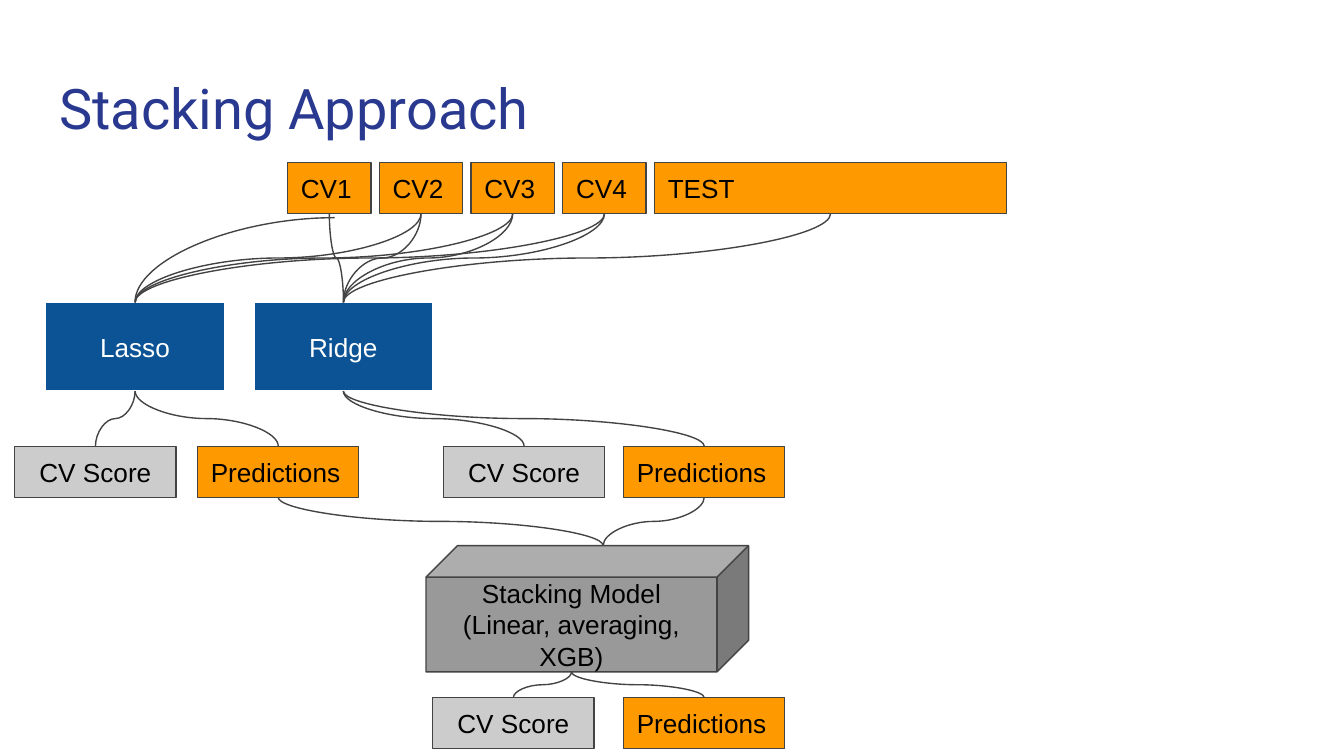
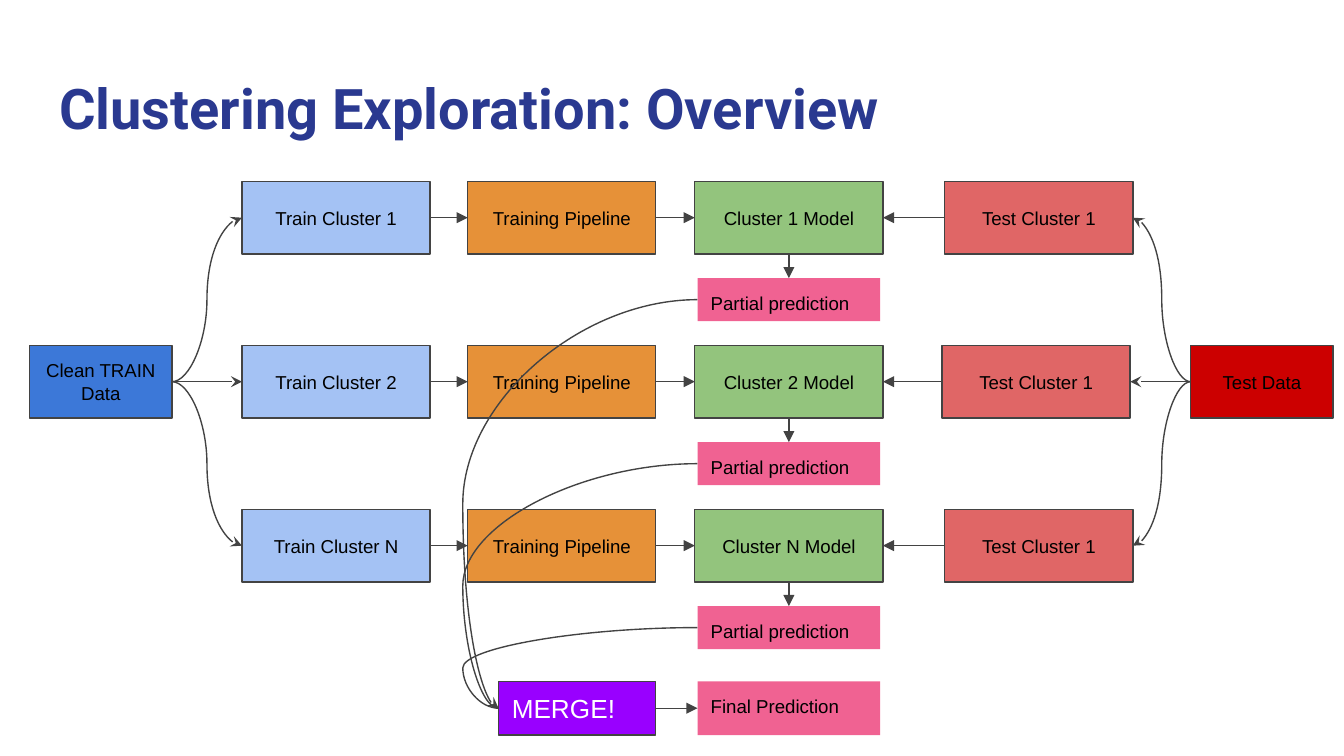
from dataclasses import dataclass, replace
from typing import Optional

import lxml.etree
import pptx
import pptx.dml.color
import pptx.enum.shapes
import pptx.enum.text
import pptx.oxml.ns
import pptx.presentation
import pptx.shapes.autoshape
import pptx.shapes.connector
import pptx.slide
import pptx.text.text
import pptx.util

Inches = pptx.util.Inches
Shape = pptx.shapes.autoshape.Shape
Connector = pptx.shapes.connector.Connector
Slide = pptx.slide.Slide
ShapeType = pptx.enum.shapes.MSO_SHAPE
ConnectorType = pptx.enum.shapes.MSO_CONNECTOR
Align = pptx.enum.text.PP_ALIGN
Anchor = pptx.enum.text.MSO_ANCHOR

SLIDE_WIDTH = Inches(10)
SLIDE_HEIGHT = SLIDE_WIDTH * 9 // 16
TOP, LEFT, BOTTOM, RIGHT = range(4)


@dataclass(frozen=True)
class Theme:
    title_font: str = "Roboto"
    body_font: str = "Arial"
    title_size: int = 30
    large_size: int = 14
    small_size: int = 10
    line_width: float = 0.75
    title: str = "2A3990"
    black: str = "000000"
    white: str = "FFFFFF"
    outline: str = "434343"
    navy: str = "0B5394"
    orange: str = "FF9900"
    light_grey: str = "CCCCCC"
    grey: str = "999999"
    blue: str = "3C78D8"
    light_blue: str = "A4C2F4"
    amber: str = "E69138"
    green: str = "93C47D"
    red: str = "CC0000"
    light_red: str = "E06666"
    pink: str = "F06292"
    purple: str = "9900FF"


THEME = Theme()


@dataclass(frozen=True)
class BoxStyle:
    fill: str
    size: int = THEME.small_size
    color: str = THEME.black
    outline: Optional[str] = THEME.outline
    align: Align = Align.CENTER
    anchor: Anchor = Anchor.MIDDLE
    shape_type: ShapeType = ShapeType.RECTANGLE


DATA = BoxStyle(THEME.orange, THEME.large_size, align=Align.LEFT)
SCORE = BoxStyle(THEME.light_grey, THEME.large_size)
LEARNER = BoxStyle(THEME.navy, THEME.large_size, THEME.white, THEME.white)
STACKER = BoxStyle(THEME.grey, THEME.large_size, shape_type=ShapeType.CUBE)
PREDICTION = BoxStyle(THEME.pink, outline=None, align=Align.LEFT, anchor=Anchor.TOP)
MERGE = BoxStyle(THEME.purple, THEME.large_size, THEME.white, align=Align.LEFT)


@dataclass(frozen=True)
class Box:
    text: str
    left: float
    top: float
    width: float
    height: float
    style: BoxStyle


def rgb(value: str) -> pptx.dml.color.RGBColor:
    return pptx.dml.color.RGBColor.from_string(value)


def set_insets(frame: pptx.text.text.TextFrame) -> None:
    frame.margin_left = frame.margin_right = Inches(0.1)
    frame.margin_top = frame.margin_bottom = Inches(0.1)
    frame.word_wrap = True


def add_titled_slide(presentation: pptx.presentation.Presentation, text: str, bold: bool = False) -> Slide:
    slide = presentation.slides.add_slide(presentation.slide_layouts.get_by_name("Title Only"))
    title = slide.shapes.title
    title.left, title.top = Inches(0.34), Inches(0.45)
    title.width, title.height = Inches(9.32), Inches(0.66)
    frame = title.text_frame
    frame.text = text
    set_insets(frame)
    frame.auto_size = pptx.enum.text.MSO_AUTO_SIZE.NONE
    frame.vertical_anchor = Anchor.TOP
    paragraph = frame.paragraphs[0]
    paragraph.alignment = Align.LEFT
    paragraph.font.name = THEME.title_font
    paragraph.font.size = pptx.util.Pt(THEME.title_size)
    paragraph.font.bold = bold
    paragraph.font.color.rgb = rgb(THEME.title)
    return slide


def add_box(slide: Slide, box: Box) -> Shape:
    style = box.style
    shape = slide.shapes.add_shape(
        style.shape_type, Inches(box.left), Inches(box.top), Inches(box.width), Inches(box.height)
    )
    shape.shadow.inherit = False
    shape.fill.solid()
    shape.fill.fore_color.rgb = rgb(style.fill)
    if style.outline:
        shape.line.color.rgb = rgb(style.outline)
        shape.line.width = pptx.util.Pt(THEME.line_width)
    else:
        shape.line.fill.background()
    frame = shape.text_frame
    frame.text = box.text
    set_insets(frame)
    frame.vertical_anchor = style.anchor
    for paragraph in frame.paragraphs:
        paragraph.alignment = style.align
        paragraph.font.name = THEME.body_font
        paragraph.font.size = pptx.util.Pt(style.size)
        paragraph.font.color.rgb = rgb(style.color)
    return shape


def style_connector(connector: Connector, head: Optional[str] = None) -> None:
    connector.line.color.rgb = rgb(THEME.outline)
    connector.line.width = pptx.util.Pt(THEME.line_width)
    if head:
        line = connector.element.spPr.find(pptx.oxml.ns.qn("a:ln"))
        lxml.etree.SubElement(line, pptx.oxml.ns.qn("a:tailEnd"), type=head)
    lxml.etree.SubElement(connector.element.spPr, pptx.oxml.ns.qn("a:effectLst"))


def link(slide: Slide, start: Shape, start_side: int, end: Shape, end_side: int,
         kind: ConnectorType = ConnectorType.STRAIGHT, head: Optional[str] = "triangle") -> Connector:
    """Glue a connector between the sides of two shapes."""
    connector = slide.shapes.add_connector(kind, 0, 0, 0, 0)
    connector.begin_connect(start, start_side)
    connector.end_connect(end, end_side)
    style_connector(connector, head)
    return connector


def middle(shape: Shape, side: int) -> int:
    """Horizontal position of the top or bottom site, allowing for a cube's depth."""
    depth = 0
    if shape.auto_shape_type == ShapeType.CUBE:
        depth = int(shape.height * shape.adjustments[0])
    return shape.left + (shape.width + (depth if side == TOP else -depth)) // 2


def link_down(slide: Slide, upper: Shape, lower: Shape) -> None:
    """Draw an S-curve from the bottom of one shape to the top of another."""
    is_cube = upper.auto_shape_type == ShapeType.CUBE
    connector = link(slide, upper, 3 if is_cube else BOTTOM, lower, TOP, ConnectorType.CURVE, None)
    start_x, end_x = middle(upper, BOTTOM), middle(lower, TOP)
    start_y, end_y = upper.top + upper.height, lower.top
    length, spread = end_y - start_y, abs(end_x - start_x)
    connector.left = (start_x + end_x - length) // 2
    connector.top = (start_y + end_y - spread) // 2
    connector.width, connector.height = length, spread
    rightward = end_x > start_x
    transform = connector.element.spPr.xfrm
    transform.set("rot", str((270 if rightward else 90) * 60000))
    transform.set("flipH", "1" if rightward else "0")
    transform.set("flipV", "0")


def set_bend(connector: Connector, ratio: float) -> None:
    guides = connector.element.spPr.prstGeom.get_or_add_avLst()
    lxml.etree.SubElement(
        guides, pptx.oxml.ns.qn("a:gd"), name="adj1", fmla=f"val {round(ratio * 100000)}"
    )


def build_stacking(presentation: pptx.presentation.Presentation) -> None:
    slide = add_titled_slide(presentation, "Stacking Approach")
    fold_top, fold_left, test_left, bar_height = 1.21, 2.14, 4.87, 0.38
    fold_pitch = (test_left - fold_left) / 4

    lasso, ridge = (
        add_box(slide, Box(name, left, 2.25, 1.33, 0.66, LEARNER))
        for name, left in (("Lasso", 0.34), ("Ridge", 1.89))
    )
    folds = [
        add_box(slide, Box(f"CV{i + 1}", fold_left + i * fold_pitch, fold_top, 0.62, bar_height, DATA))
        for i in range(4)
    ]
    test = add_box(slide, Box("TEST", test_left, fold_top, 2.62, bar_height, DATA))
    stacker = add_box(
        slide, Box("Stacking Model\n(Linear, averaging, XGB)", 3.17, 4.06, 2.4, 0.94, STACKER)
    )

    first_fold = slide.shapes.add_connector(
        ConnectorType.CURVE, Inches(2.49), Inches(1.62), middle(lasso, TOP), lasso.top
    )
    first_fold.element.spPr.prstGeom.set("prst", "curvedConnector2")
    style_connector(first_fold)
    for fold in folds[1:]:
        link_down(slide, fold, lasso)
    for source in (*folds, test):
        link_down(slide, source, ridge)

    for model, score_left, prediction_left, top in (
        (lasso, 0.11, 1.47, 3.32),
        (ridge, 3.3, 4.64, 3.32),
        (stacker, 3.22, 4.64, 5.19),
    ):
        score = add_box(slide, Box("CV Score", score_left, top, 1.2, bar_height, SCORE))
        prediction = add_box(slide, Box("Predictions", prediction_left, top, 1.2, bar_height, DATA))
        link_down(slide, model, score)
        link_down(slide, model, prediction)
        if model is not stacker:
            link_down(slide, prediction, stacker)


def build_clustering(presentation: pptx.presentation.Presentation) -> None:
    slide = add_titled_slide(presentation, "Clustering Exploration: Overview", bold=True)
    row_top, row_pitch, row_height, stage_width = 1.35, 1.22, 0.54, 1.4
    middle_top = row_top + row_pitch
    merge_top, merge_height = 5.07, 0.4
    prediction_left, prediction_width = 5.19, 1.36

    train_style = BoxStyle(THEME.blue)
    train_data = add_box(slide, Box("Clean TRAIN Data", 0.22, middle_top, 1.06, row_height, train_style))
    test_data = add_box(
        slide, Box("Test Data", 8.86, middle_top, 1.06, row_height, replace(train_style, fill=THEME.red))
    )
    partials = []
    for row, (name, test_left) in enumerate((("1", 7.03), ("2", 7.01), ("N", 7.03))):
        top = row_top + row * row_pitch
        cluster, pipeline, model, test = (
            add_box(slide, Box(text, left, top, stage_width, row_height, BoxStyle(fill)))
            for text, left, fill in (
                (f"Train Cluster {name}", 1.8, THEME.light_blue),
                ("Training Pipeline", 3.48, THEME.amber),
                (f"Cluster {name} Model", 5.17, THEME.green),
                ("Test Cluster 1", test_left, THEME.light_red),
            )
        )
        partial = add_box(
            slide, Box("Partial prediction", prediction_left, top + 0.72, prediction_width, 0.32, PREDICTION)
        )
        partials.append(partial)
        link(slide, train_data, RIGHT, cluster, LEFT, ConnectorType.CURVE, "stealth")
        link(slide, cluster, RIGHT, pipeline, LEFT)
        link(slide, pipeline, RIGHT, model, LEFT)
        link(slide, test, LEFT, model, RIGHT)
        link(slide, test_data, LEFT, test, RIGHT, ConnectorType.CURVE, "stealth")
        link(slide, model, BOTTOM, partial, TOP)

    merge = add_box(slide, Box("MERGE!", 3.71, merge_top, 1.17, merge_height, MERGE))
    final = add_box(
        slide, Box("Final Prediction", prediction_left, merge_top, prediction_width, merge_height, PREDICTION)
    )
    for partial, head in zip(partials, ("stealth", None, None)):
        set_bend(link(slide, partial, LEFT, merge, LEFT, ConnectorType.CURVE, head), 1.18)
    link(slide, merge, RIGHT, final, LEFT)


def main() -> None:
    presentation = pptx.Presentation()
    presentation.slide_width, presentation.slide_height = SLIDE_WIDTH, SLIDE_HEIGHT
    build_stacking(presentation)
    build_clustering(presentation)
    presentation.save("out.pptx")


if __name__ == "__main__":
    main()
